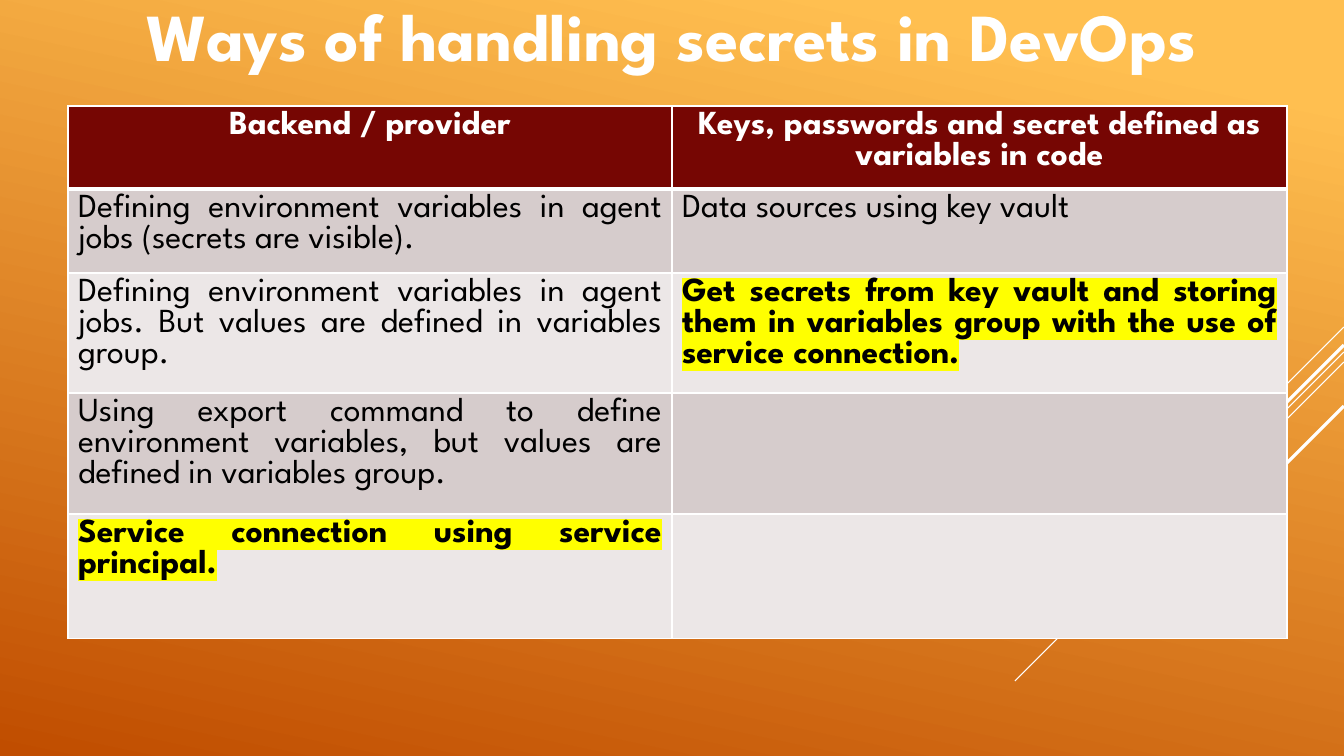
from dataclasses import dataclass

from lxml.etree import SubElement
from pptx import Presentation
from pptx.dml.color import RGBColor
from pptx.enum.shapes import MSO_CONNECTOR as CONN
from pptx.enum.text import MSO_ANCHOR as ANCHOR, MSO_AUTO_SIZE as AUTOSIZE, PP_ALIGN as ALIGN
from pptx.oxml.ns import qn
from pptx.util import Emu, Pt

PX = 914400 / 100.8


@dataclass(frozen=True)
class Theme:
    font: str = "League Spartan"
    white: str = "FFFFFF"
    black: str = "000000"
    highlight: str = "FFFF00"
    header: str = "760603"
    bands: tuple[str, str] = ("D6CCCC", "ECE7E7")
    gradient: tuple[tuple[float, str], ...] = ((0.1, "FFBF50"), (1.0, "C04D00"))
    gradient_angle: int = 258
    title_size: int = 48
    table_size: int = 24


@dataclass(frozen=True)
class Streak:
    """Diagonal from the right edge, falling as far as it runs left."""
    top: int
    run: int
    weight: float


@dataclass(frozen=True)
class Entry:
    text: str = ""
    marked: bool = False


THEME = Theme()
SLIDE_W, SLIDE_H = 1344, 756
STREAKS = [
    Streak(327, 101, 0.75),
    Streak(352, 329, 0.75),
    Streak(362, 209, 0.75),
    Streak(345, 193, 2.25),
    Streak(406, 140, 2.25),
]
COL_WIDTHS = [604, 615]
ROW_HEIGHTS = [83, 84, 120, 121, 125]
ROWS = [
    (Entry("Backend / provider"),
     Entry("Keys, passwords and secret defined as variables in code")),
    (Entry("Defining environment variables in agent jobs (secrets are visible)."),
     Entry("Data sources using key vault")),
    (Entry("Defining environment variables in agent jobs. But values are defined "
           "in variables group."),
     Entry("Get secrets from key vault and storing them in variables group with "
           "the use of service connection.", marked=True)),
    (Entry("Using export command to define environment variables, but values are "
           "defined in variables group."),
     Entry()),
    (Entry("Service connection using service principal.", marked=True),
     Entry()),
]


def px(n: int) -> Emu:
    return Emu(round(n * PX))


def rgb(value: str) -> RGBColor:
    return RGBColor.from_string(value)


def add_run(p, text: str, size: int, color: str, bold: bool,
            align: ALIGN, marked: bool = False) -> None:
    p.alignment = align
    r = p.add_run()
    r.text = text
    r.font.color.rgb = rgb(color)
    if marked:
        mark = SubElement(r.font._element, qn("a:highlight"))
        SubElement(mark, qn("a:srgbClr"), val=THEME.highlight)
    for name, value in {"name": THEME.font, "size": Pt(size), "bold": bold}.items():
        setattr(r.font, name, value)


def paint_background(slide) -> None:
    fill = slide.background.fill
    fill.gradient()
    fill.gradient_angle = THEME.gradient_angle
    for stop, (position, color) in zip(fill.gradient_stops, THEME.gradient):
        stop.position = position
        stop.color.rgb = rgb(color)


def add_streak(slide, streak: Streak) -> None:
    line = slide.shapes.add_connector(
        CONN.STRAIGHT, px(SLIDE_W), px(streak.top),
        px(SLIDE_W - streak.run), px(streak.top + streak.run))
    line.line.color.rgb = rgb(THEME.white)
    line.line.width = Pt(streak.weight)
    SubElement(line._element.spPr, qn("a:effectLst"))


def set_title(slide, text: str) -> None:
    sp = slide.shapes.title
    for name, value in {"left": 68, "top": 2, "width": 1208, "height": 78}.items():
        setattr(sp, name, px(value))
    tf = sp.text_frame
    for name, value in {"word_wrap": True, "auto_size": AUTOSIZE.NONE,
                        "vertical_anchor": ANCHOR.BOTTOM}.items():
        setattr(tf, name, value)
    add_run(tf.paragraphs[0], text, THEME.title_size, THEME.white, True, ALIGN.CENTER)


def set_borders(cell, widths: dict[str, int]) -> None:
    tc_pr = cell._tc.get_or_add_tcPr()
    for side, width in widths.items():
        ln = SubElement(tc_pr, qn(f"a:ln{side}"), w=str(Pt(width)))
        fill = SubElement(ln, qn("a:solidFill"))
        SubElement(fill, qn("a:srgbClr"), val=THEME.white)


def format_cell(cell, entry: Entry, row: int) -> None:
    header = row == 0
    set_borders(cell, {"L": 1, "R": 1, "T": 3 if row == 1 else 1, "B": 3 if header else 1})
    cell.fill.solid()
    cell.fill.fore_color.rgb = rgb(THEME.header if header else THEME.bands[(row - 1) % 2])
    if entry.text:
        add_run(cell.text_frame.paragraphs[0], entry.text, THEME.table_size,
                THEME.white if header else THEME.black, header or entry.marked,
                ALIGN.CENTER if header else ALIGN.JUSTIFY, entry.marked)


def add_secrets_table(slide) -> None:
    table = slide.shapes.add_table(
        len(ROWS), len(COL_WIDTHS), px(68), px(106),
        px(sum(COL_WIDTHS)), px(sum(ROW_HEIGHTS))).table
    for column, width in zip(table.columns, COL_WIDTHS):
        column.width = px(width)
    for i, (row, height) in enumerate(zip(table.rows, ROW_HEIGHTS)):
        row.height = px(height)
        for cell, entry in zip(row.cells, ROWS[i]):
            format_cell(cell, entry, i)


def main() -> None:
    prs = Presentation()
    prs.slide_width, prs.slide_height = px(SLIDE_W), px(SLIDE_H)
    slide = prs.slides.add_slide(prs.slide_layouts[5])

    # Backdrop
    paint_background(slide)
    for streak in STREAKS:
        add_streak(slide, streak)

    # Content
    set_title(slide, "Ways of handling secrets in DevOps")
    add_secrets_table(slide)
    prs.save("out.pptx")


if __name__ == "__main__":
    main()
